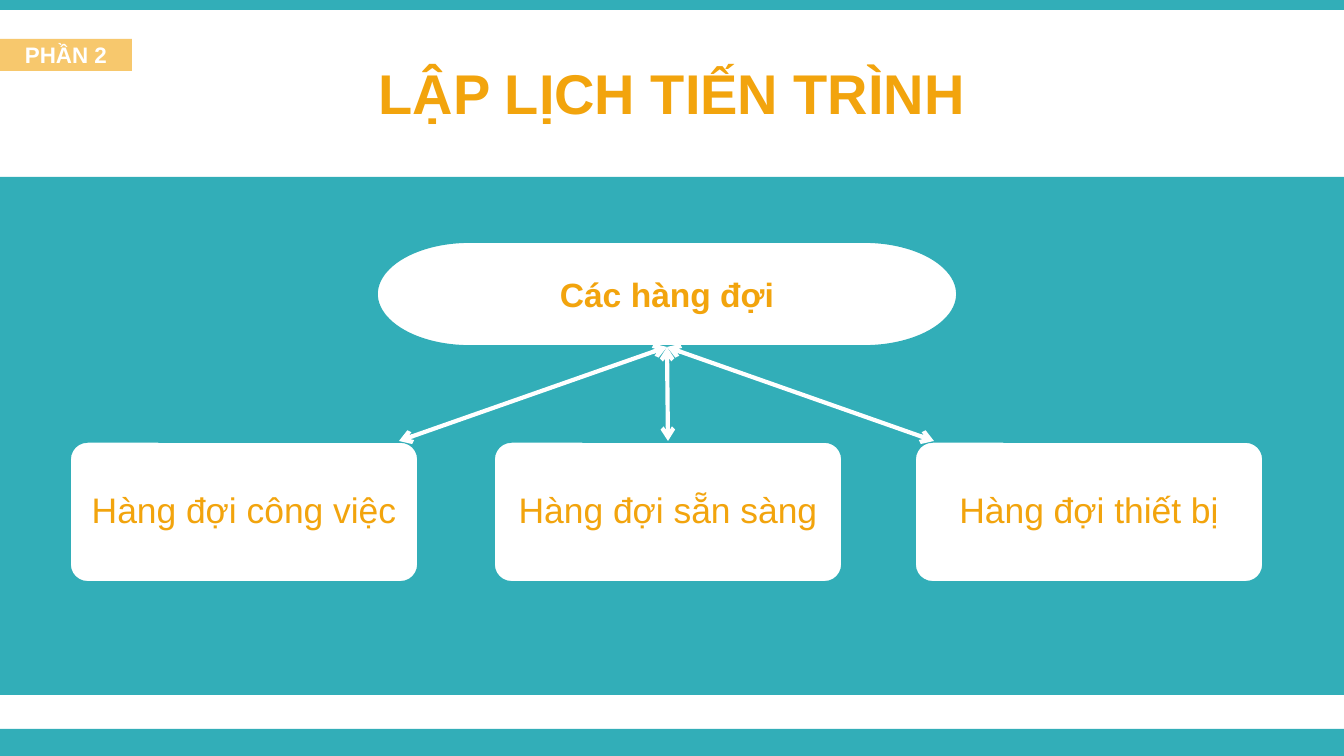
import pptx
import pptx.dml.color
import pptx.enum.shapes
import pptx.enum.text
import pptx.oxml.ns
import pptx.util
from lxml import etree

SCALE = 9144000 / 1344  # EMU per px
SHAPES = pptx.enum.shapes.MSO_SHAPE
THEME = {
    "teal": pptx.dml.color.RGBColor.from_string("32AEB8"),
    "orange": pptx.dml.color.RGBColor.from_string("F2A40D"),
    "white": pptx.dml.color.RGBColor.from_string("FFFFFF"),
    "font": "Arial",
    "title": 30, "card": 19, "root": 18, "tag": 12,
}


def add_block(kind, bounds, fill, outline=None):
    block = page.shapes.add_shape(kind, *[round(v * SCALE) for v in bounds])
    block.shadow.inherit = False
    block.fill.solid()
    block.fill.fore_color.rgb = THEME[fill]
    if outline:
        block.line.color.rgb = THEME[outline]
        block.line.width = pptx.util.Pt(2)
    else:
        block.line.fill.background()
    return block


def write(box, text, size, color, bold=True):
    frame = box.text_frame
    frame.text = text
    frame.word_wrap = True
    frame.vertical_anchor = pptx.enum.text.MSO_ANCHOR.MIDDLE
    para = frame.paragraphs[0]
    para.alignment = pptx.enum.text.PP_ALIGN.CENTER
    span = para.runs[0]
    span.font.name = THEME["font"]
    span.font.size = pptx.util.Pt(THEME[size])
    span.font.bold = bold
    span.font.color.rgb = THEME[color]


deck = pptx.Presentation()
deck.slide_width = round(1344 * SCALE)
deck.slide_height = round(756 * SCALE)
page = deck.slides.add_slide(deck.slide_layouts[6])

# Bottom, top and main bands
for top, height in [(729, 27), (0, 10), (177, 518)]:
    add_block(SHAPES.RECTANGLE, (0, top, 1344, height), "teal")

# Title
title = page.shapes.add_textbox(*[round(v * SCALE) for v in (0, 50, 1344, 85)])
write(title, "LẬP LỊCH TIẾN TRÌNH", "title", "orange")

# Queue cards
cards = []
for left, label in [(69, "Hàng đợi công việc"),
                    (493, "Hàng đợi sẵn sàng"),
                    (914, "Hàng đợi thiết bị")]:
    card = add_block(SHAPES.ROUNDED_RECTANGLE, (left, 441, 350, 142), "white", "teal")
    card.adjustments[0] = 0.13
    write(card, label, "card", "orange", bold=False)
    card.text_frame.paragraphs[0].line_spacing = 0.9
    cards.append(card)

# Root of the tree
root = add_block(SHAPES.FLOWCHART_TERMINATOR, (376, 241, 582, 106), "white", "teal")
write(root, "Các hàng đợi", "root", "orange")

# Double-headed arrows from the root to the cards
for end_x, target in [(399, None), (934, None), (668, cards[1])]:
    arrow = page.shapes.add_connector(
        pptx.enum.shapes.MSO_CONNECTOR.STRAIGHT,
        *[round(v * SCALE) for v in (667, 347, end_x, 441)])
    arrow.begin_connect(root, 2)
    if target is not None:
        arrow.end_connect(target, 0)
    arrow.line.color.rgb = THEME["white"]
    arrow.line.width = pptx.util.Pt(2.25)
    line = arrow.line._get_or_add_ln()
    for end in ("a:headEnd", "a:tailEnd"):
        etree.SubElement(line, pptx.oxml.ns.qn(end), type="arrow")
    etree.SubElement(arrow._element.spPr, pptx.oxml.ns.qn("a:effectLst"))

# Section tag, 60% opaque
tag = add_block(SHAPES.RECTANGLE, (0, 39, 132, 32), "orange")
tag_color = tag._element.spPr.find(".//" + pptx.oxml.ns.qn("a:srgbClr"))
etree.SubElement(tag_color, pptx.oxml.ns.qn("a:alpha"), val="60000")
write(tag, "PHẦN 2", "tag", "white")

deck.save("out.pptx")
